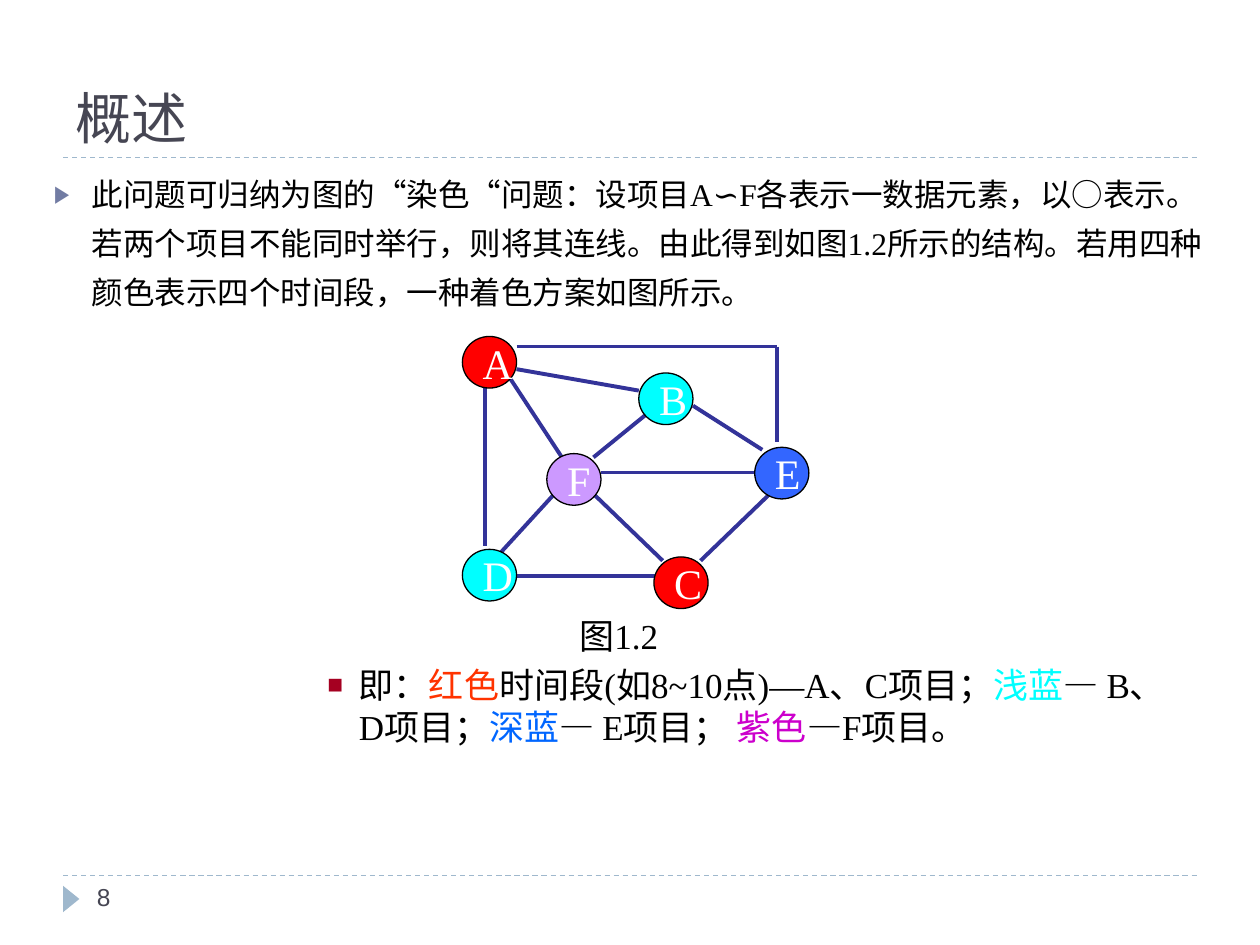
import pptx
import pptx.util
import pptx.dml.color
import pptx.enum.dml
import pptx.enum.shapes
import pptx.enum.text
import pptx.oxml.ns
from lxml import etree

Inches = pptx.util.Inches
Pt = pptx.util.Pt
RGBColor = pptx.dml.color.RGBColor
MSO_ANCHOR = pptx.enum.text.MSO_ANCHOR
SHAPE = pptx.enum.shapes.MSO_SHAPE

BLACK = RGBColor(0x00, 0x00, 0x00)
WHITE = RGBColor(0xFF, 0xFF, 0xFF)
SLATE = RGBColor(0x46, 0x46, 0x53)
PALE_BLUE = RGBColor(0x9F, 0xB8, 0xCD)
BULLET_BLUE = RGBColor(0x72, 0x7C, 0xA3)
BULLET_RED = RGBColor(0xA5, 0x00, 0x21)
EDGE_BLUE = RGBColor(0x33, 0x33, 0x99)
RED = RGBColor(0xFF, 0x00, 0x00)
CYAN = RGBColor(0x00, 0xFF, 0xFF)
BLUE = RGBColor(0x33, 0x66, 0xFF)
LILAC = RGBColor(0xCC, 0x99, 0xFF)
ORANGE_RED = RGBColor(0xFF, 0x33, 0x00)
DEEP_BLUE = RGBColor(0x00, 0x66, 0xFF)
PURPLE = RGBColor(0xCC, 0x00, 0xCC)

SERIF = "Times New Roman"
SANS = "Arial"
NODE_SIZE = (0.43, 0.41)

NODES = [
    ("F", 4.34, 3.6, LILAC),
    ("C", 5.19, 4.42, RED),
    ("E", 5.99, 3.55, BLUE),
    ("A", 3.67, 2.67, RED),
    ("B", 5.07, 2.96, CYAN),
    ("D", 3.67, 4.36, CYAN),
]
EDGES = [
    (4.77, 3.75, 5.99, 3.75),
    (4.4, 3.92, 3.97, 4.39),
    (3.85, 3.04, 3.85, 4.33),
    (4.1, 2.93, 5.07, 3.1),
    (6.11, 3.92, 5.56, 4.45),
    (4.71, 3.92, 5.26, 4.45),
    (4.04, 2.99, 4.46, 3.63),
    (5.14, 3.28, 4.71, 3.63),
    (4.1, 4.57, 5.2, 4.57),
    (5.5, 3.22, 6.05, 3.57),
    (4.1, 2.75, 6.17, 2.75),
    (6.17, 2.75, 6.17, 3.51),
]
INTRO = [
    ("此问题可归纳为图的", SERIF),
    ("“", SANS),
    ("染色", SERIF),
    ("“", SANS),
    ("问题：设项目A∽F各表示一数据元素，以○表示。若两个项目不能同时举行，"
     "则将其连线。由此得到如图1.2所示的结构。若用四种颜色表示四个时间段，"
     "一种着色方案如图所示。", SERIF),
]
LEGEND = [
    ("即：", BLACK),
    ("红色", ORANGE_RED),
    ("时间段(如8~10点)—A、C项目；", BLACK),
    ("浅蓝", CYAN),
    ("— B、D项目；", BLACK),
    ("深蓝", DEEP_BLUE),
    ("— E项目； ", BLACK),
    ("紫色", PURPLE),
    ("—F项目。", BLACK),
]


def set_font(font, name, size, color):
    font.name = name
    font.size = Pt(size)
    font.color.rgb = color


def set_indent(para, left, first=0):
    props = para._p.get_or_add_pPr()
    props.set("marL", str(Inches(left)))
    props.set("indent", str(Inches(first)))


def add_bullet(para, char, color, percent):
    props = para._p.get_or_add_pPr()
    qn = pptx.oxml.ns.qn
    tint = etree.SubElement(props, qn("a:buClr"))
    etree.SubElement(tint, qn("a:srgbClr"), val=str(color))
    etree.SubElement(props, qn("a:buSzPct"), val=str(percent * 1000))
    etree.SubElement(props, qn("a:buFont"), typeface=SANS)
    etree.SubElement(props, qn("a:buChar"), char=char)


def add_text_box(page, left, top, width, height):
    box = page.shapes.add_textbox(Inches(left), Inches(top), Inches(width), Inches(height))
    box.text_frame.word_wrap = True
    return box.text_frame


def add_line(page, ends, color, weight, dash=None):
    line = page.shapes.add_connector(
        pptx.enum.shapes.MSO_CONNECTOR.STRAIGHT, *[Inches(value) for value in ends])
    line.line.color.rgb = color
    line.line.width = Pt(weight)
    if dash:
        line.line.dash_style = dash
    etree.SubElement(line._element.spPr, pptx.oxml.ns.qn("a:effectLst"))


def add_node(page, label, left, top, color):
    node = page.shapes.add_shape(
        SHAPE.OVAL, Inches(left), Inches(top), *[Inches(side) for side in NODE_SIZE])
    node.shadow.inherit = False
    node.fill.solid()
    node.fill.fore_color.rgb = color
    node.line.color.rgb = BLACK
    node.line.width = Pt(0.75)
    frame = node.text_frame
    frame.word_wrap = False
    frame.vertical_anchor = MSO_ANCHOR.MIDDLE
    para = frame.paragraphs[0]
    para.text = label
    para.alignment = pptx.enum.text.PP_ALIGN.LEFT
    set_font(para.font, SERIF, 24, WHITE)


def add_title(page):
    title = page.shapes.title
    title.left, title.top = Inches(0.5), Inches(0.17)
    title.width, title.height = Inches(9), Inches(1.08)
    title.text_frame.vertical_anchor = MSO_ANCHOR.BOTTOM
    para = title.text_frame.paragraphs[0]
    para.text = "概述"
    para.alignment = pptx.enum.text.PP_ALIGN.LEFT
    set_font(para.font, SANS, 32, SLATE)


def add_frame(page):
    for height in (1.25, 6.95):
        add_line(page, (0.5, height, 9.5, height), PALE_BLUE, 0.75,
                 pptx.enum.dml.MSO_LINE.DASH)
    marker = page.shapes.add_shape(
        SHAPE.ISOSCELES_TRIANGLE, Inches(0.46), Inches(7.07), Inches(0.21), Inches(0.13))
    marker.rotation = 90
    marker.shadow.inherit = False
    marker.fill.solid()
    marker.fill.fore_color.rgb = PALE_BLUE
    marker.line.fill.background()
    para = add_text_box(page, 0.67, 6.95, 2.17, 0.4).paragraphs[0]
    para.text = "8"
    set_font(para.font, SANS, 14, SLATE)


def add_intro(page):
    para = add_text_box(page, 0.33, 1.25, 9.33, 1.5).paragraphs[0]
    set_indent(para, 0.3, -0.3)
    para.line_spacing = 1.3
    add_bullet(para, "▶", BULLET_BLUE, 76)
    set_font(para.font, SERIF, 18, BLACK)
    for text, name in INTRO:
        span = para.add_run()
        span.text = text
        set_font(span.font, name, 18, BLACK)


def add_caption_and_legend(page):
    frame = add_text_box(page, 0.5, 4.83, 9, 1.17)
    caption = frame.paragraphs[0]
    caption.text = "图1.2"
    set_indent(caption, 4)
    set_font(caption.font, SERIF, 20, BLACK)
    legend = frame.add_paragraph()
    set_indent(legend, 2.25, -0.25)
    legend.space_before = Pt(4)
    add_bullet(legend, "■", BULLET_RED, 75)
    set_font(legend.font, SERIF, 20, BLACK)
    for text, color in LEGEND:
        span = legend.add_run()
        span.text = text
        set_font(span.font, SERIF, 20, color)


def main():
    deck = pptx.Presentation()
    deck.slide_width, deck.slide_height = Inches(10), Inches(7.5)
    page = deck.slides.add_slide(deck.slide_layouts[5])
    add_title(page)
    add_frame(page)
    add_intro(page)
    for ends in EDGES:
        add_line(page, ends, EDGE_BLUE, 2.25)
    for node in NODES:
        add_node(page, *node)
    add_caption_and_legend(page)
    deck.save("out.pptx")


if __name__ == "__main__":
    main()
